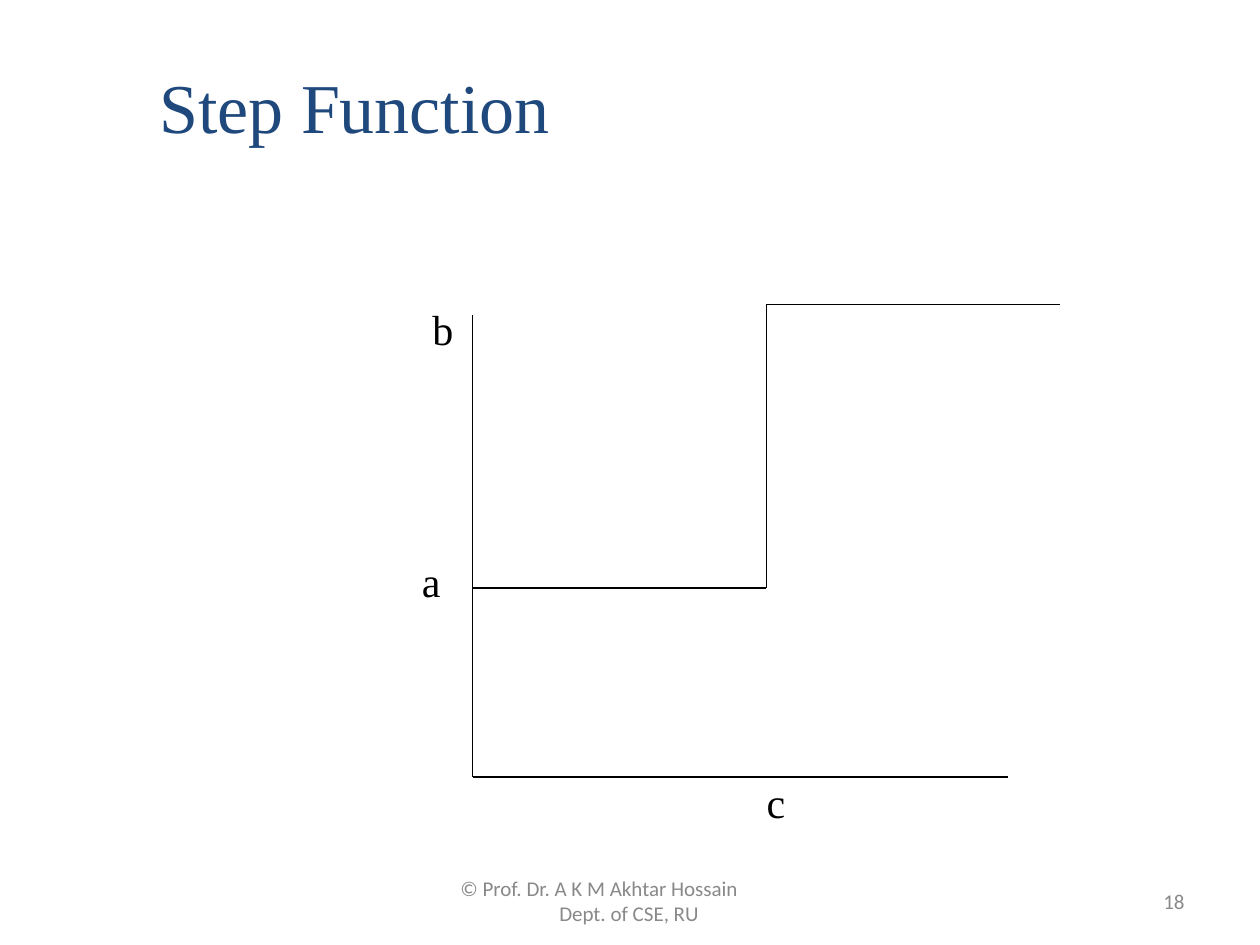
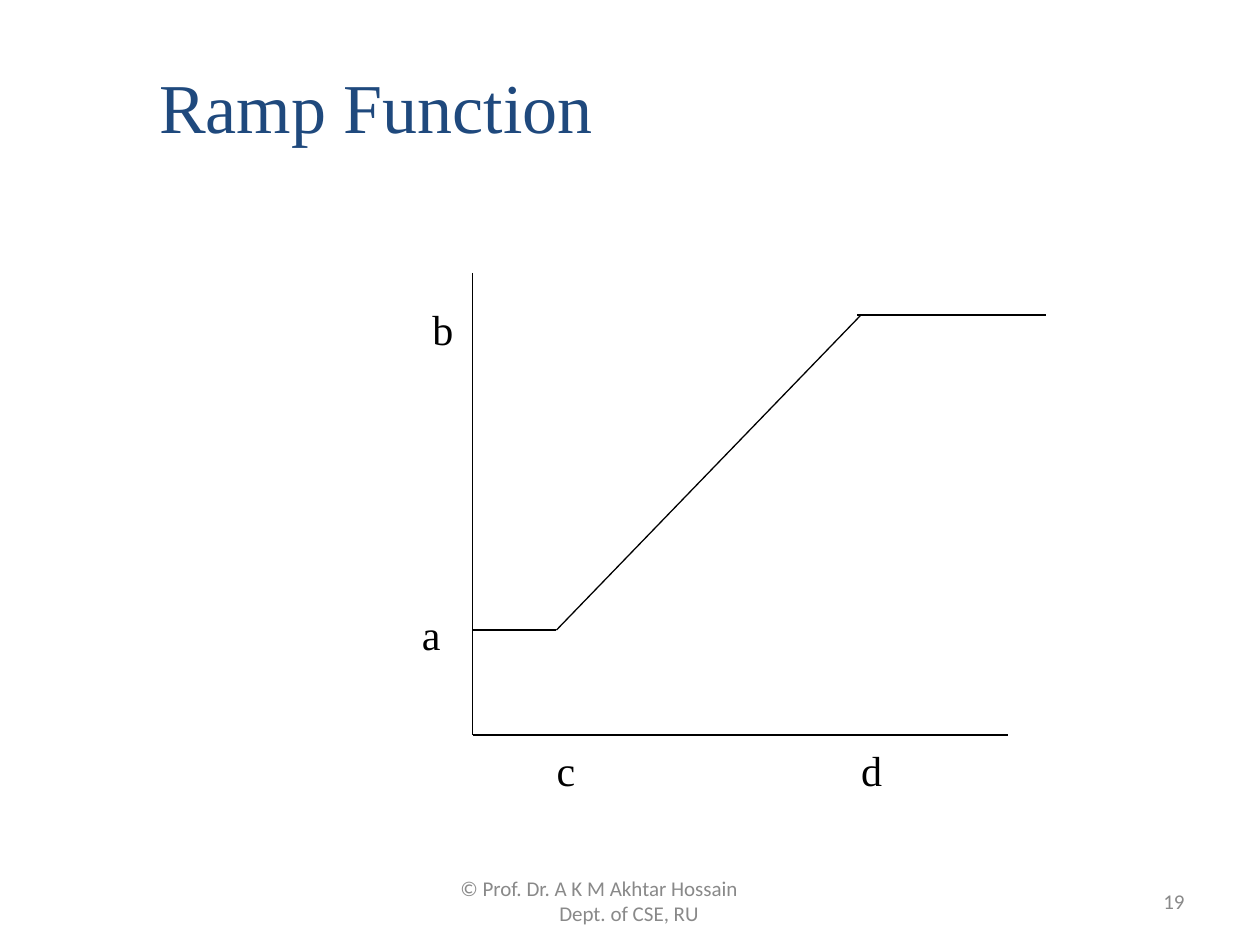
from dataclasses import dataclass
from itertools import pairwise

from lxml import etree
from pptx import Presentation
from pptx.dml.color import RGBColor
from pptx.enum.shapes import MSO_CONNECTOR
from pptx.enum.text import MSO_ANCHOR, PP_ALIGN
from pptx.oxml.ns import qn
from pptx.util import Pt

STRAIGHT = MSO_CONNECTOR.STRAIGHT
TOP, MIDDLE = MSO_ANCHOR.TOP, MSO_ANCHOR.MIDDLE
LEFT, RIGHT = PP_ALIGN.LEFT, PP_ALIGN.RIGHT


@dataclass(frozen=True)
class Style:
    font: str
    size: float
    color: RGBColor


@dataclass(frozen=True)
class Theme:
    title: Style = Style("Times New Roman", 40, RGBColor(0x1F, 0x49, 0x7D))
    label: Style = Style("Times New Roman", 24, RGBColor(0, 0, 0))
    footer: Style = Style("Calibri", 12, RGBColor(0x89, 0x89, 0x89))
    line_color: RGBColor = RGBColor(0, 0, 0)
    line_width: float = 0.75


THEME = Theme()
PAGE_WIDTH, PAGE_HEIGHT = 720, 540
AXIS_LEFT, AXIS_RIGHT, AXIS_HEIGHT = 270, 576, 264
FOOTER_LINES = ("© Prof. Dr. A K M Akhtar Hossain", "Dept. of CSE, RU")
FOOTER_INDENTS = (10, 66.5)

GRAPHS = [
    {
        "title": "Step Function",
        "number": 18,
        "axis_top": 180,
        "curves": [[(AXIS_LEFT, 336), (438, 336), (438, 174), (606, 174)]],
        "levels": [("b", 240, 170), ("a", 234, 314)],
        "ticks": [("c", 143)],
        "ticks_top": 440,
    },
    {
        "title": "Ramp Function",
        "number": 19,
        "axis_top": 156,
        "curves": [
            [(AXIS_LEFT, 360), (318, 360), (492, 180)],
            [(490, 180), (598, 180)],
        ],
        "levels": [("b", 240, 170), ("a", 234, 344)],
        "ticks": [("c", 23), ("d", 197)],
        "ticks_top": 422,
    },
]


def add_box(page, area, anchor=TOP, align=LEFT):
    box = page.shapes.add_textbox(*map(Pt, area))
    frame = box.text_frame
    frame.word_wrap = True
    frame.vertical_anchor = anchor
    para = frame.paragraphs[0]
    para.alignment = align
    return para


def add_span(para, text, style):
    span = para.add_run()
    span.text = text
    span.font.name = style.font
    span.font.size = Pt(style.size)
    span.font.color.rgb = style.color


def add_path_lines(page, points):
    for start, end in pairwise(points):
        line = page.shapes.add_connector(STRAIGHT, *map(Pt, start + end))
        line.line.color.rgb = THEME.line_color
        line.line.width = Pt(THEME.line_width)
        etree.SubElement(line._element.spPr, qn("a:effectLst"))


def add_ticks(page, ticks, top):
    para = add_box(page, (288, top, 270, 36))
    stops = etree.SubElement(para._p.get_or_add_pPr(), qn("a:tabLst"))
    for name, position in ticks:
        etree.SubElement(stops, qn("a:tab"), pos=str(Pt(position)), algn="l")
        add_span(para, "\t" + name, THEME.label)


def add_footer(page, number):
    para = add_box(page, (246, 500.5, 228, 28.5), MIDDLE)
    first, second = FOOTER_INDENTS
    properties = para._p.get_or_add_pPr()
    properties.set("marL", str(Pt(second)))
    properties.set("indent", str(Pt(first - second)))
    add_span(para, FOOTER_LINES[0], THEME.footer)
    para.add_line_break()
    add_span(para, FOOTER_LINES[1], THEME.footer)
    add_span(add_box(page, (516, 500.5, 168, 28.5), MIDDLE, RIGHT), str(number), THEME.footer)


def add_graph(deck, graph):
    page = deck.slides.add_slide(deck.slide_layouts[6])
    add_span(add_box(page, (84, 33, 426, 55.5)), graph["title"], THEME.title)
    top = graph["axis_top"]
    bottom = top + AXIS_HEIGHT
    add_path_lines(page, [(AXIS_LEFT, top), (AXIS_LEFT, bottom), (AXIS_RIGHT, bottom)])
    for curve in graph["curves"]:
        add_path_lines(page, curve)
    for name, left, label_top in graph["levels"]:
        add_span(add_box(page, (left, label_top, 264 - left, 36)), name, THEME.label)
    add_ticks(page, graph["ticks"], graph["ticks_top"])
    add_footer(page, graph["number"])


def main():
    deck = Presentation()
    deck.slide_width, deck.slide_height = Pt(PAGE_WIDTH), Pt(PAGE_HEIGHT)
    for graph in GRAPHS:
        add_graph(deck, graph)
    deck.save("out.pptx")


if __name__ == "__main__":
    main()
